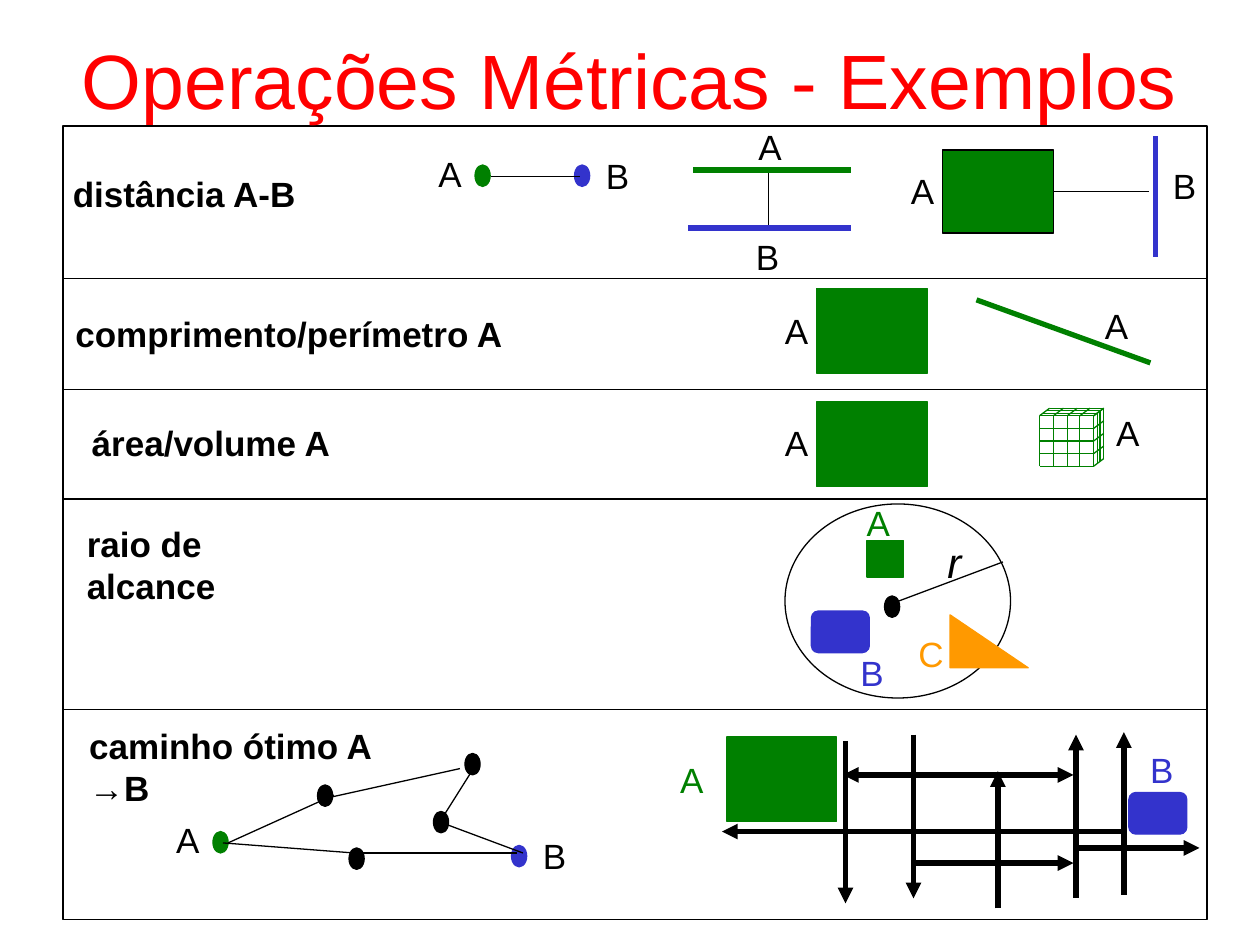
import pptx
import pptx.util
import pptx.dml.color
import pptx.enum.shapes
import pptx.enum.text
import pptx.oxml
import pptx.oxml.ns

PX = 9144
BLACK, GREEN, BLUE, ORANGE, RED = "000000", "008000", "3333CC", "FF9900", "FF0000"
MSO = pptx.enum.shapes.MSO_SHAPE
rgb = pptx.dml.color.RGBColor.from_string
qn = pptx.oxml.ns.qn

prs = pptx.Presentation()
prs.slide_width, prs.slide_height = 1000 * PX, 750 * PX
s = prs.slides.add_slide(prs.slide_layouts[6])


def add_shape(kind, x, y, w, h, fill=None, line=None):
    sp = s.shapes.add_shape(kind, x * PX, y * PX, w * PX, h * PX)
    sp.shadow.inherit = False
    if fill:
        sp.fill.solid()
        sp.fill.fore_color.rgb = rgb(fill)
    else:
        sp.fill.background()
    sp.line.color.rgb = rgb(line or fill or BLACK)
    sp.line.width = pptx.util.Pt(0.75)
    return sp


def add_line(shapes, x1, y1, x2, y2, color=BLACK, width=0.75, ends=()):
    ln = shapes.add_connector(pptx.enum.shapes.MSO_CONNECTOR.STRAIGHT,
                              x1 * PX, y1 * PX, x2 * PX, y2 * PX)
    ln.line.color.rgb = rgb(color)
    ln.line.width = pptx.util.Pt(width)
    for end in ends:
        ln.line._get_or_add_ln().append(pptx.oxml.parse_xml(
            f'<a:{end} {pptx.oxml.ns.nsdecls("a")} type="triangle"/>'))
    ln._element.spPr.append(pptx.oxml.parse_xml(
        f'<a:effectLst {pptx.oxml.ns.nsdecls("a")}/>'))
    return ln


row_top = 100
for row_height in (121, 88, 87, 167, 167):
    add_shape(MSO.RECTANGLE, 50, row_top, 908, row_height)
    row_top += row_height

for x, y, w, h in ((648, 229, 88, 67), (648, 319, 88, 67),
                   (688, 429, 29, 29), (577, 585, 87, 67)):
    add_shape(MSO.RECTANGLE, x, y, w, h, GREEN)
for x, y in ((644, 485), (896, 629)):
    add_shape(MSO.ROUNDED_RECTANGLE, x, y, 46, 33, BLUE)
add_shape(MSO.OVAL, 623, 400, 179, 154)
add_shape(MSO.RIGHT_TRIANGLE, 754, 488, 62, 42, ORANGE)

for x, y, color in (
        (456, 131, BLUE), (377, 131, GREEN), (702, 473, BLACK),
        (406, 671, BLUE), (169, 660, GREEN), (252, 623, BLACK),
        (344, 644, BLACK), (369, 598, BLACK), (277, 673, BLACK)):
    add_shape(MSO.OVAL, x, y, 12, 17, color)

area = add_shape(MSO.RECTANGLE, 748, 119, 88, 66, GREEN, BLACK)
distance = add_line(s.shapes, 912, 152, 836, 152)
distance.end_connect(area, 3)

for x1, y1, x2, y2 in (
        (460, 140, 390, 140), (610, 179, 610, 133), (708, 479, 796, 446),
        (265, 631, 181, 669), (365, 610, 252, 635), (377, 608, 348, 654),
        (281, 677, 177, 669), (410, 677, 285, 677), (415, 677, 348, 652)):
    add_line(s.shapes, x1, y1, x2, y2)

for x1, y1, x2, y2, color in (
        (675, 181, 546, 181, BLUE), (675, 135, 550, 135, GREEN),
        (917, 108, 917, 204, BLUE), (775, 238, 913, 288, GREEN)):
    add_line(s.shapes, x1, y1, x2, y2, color, 3)

HEAD, TAIL = ("headEnd",), ("tailEnd",)
for x1, y1, x2, y2, ends in (
        (671, 588, 671, 717, TAIL), (852, 615, 669, 615, HEAD + TAIL),
        (725, 583, 725, 713, TAIL), (854, 583, 854, 713, HEAD),
        (894, 660, 573, 660, TAIL), (852, 685, 723, 685, HEAD),
        (792, 721, 792, 612, TAIL), (952, 673, 852, 673, HEAD),
        (892, 581, 892, 710, HEAD)):
    add_line(s.shapes, x1, y1, x2, y2, BLACK, 3, ends)

cube = s.shapes.add_group_shape().shapes
left, top, width, height, dx, dy = 825, 330, 43, 40, 8, 6
right, bottom = left + width, top + height
for i in range(5):
    x, y = left + round(width * i / 4), top + height * i // 4
    add_line(cube, x, top, x, bottom, GREEN)
    add_line(cube, left, y, right, y, GREEN)
    add_line(cube, x, top, x + dx, top - dy, GREEN)
    add_line(cube, right, y, right + dx, y - dy, GREEN)
for k in (1, 2, 3):
    x, y = round(dx * k / 3), dy * k // 3
    add_line(cube, left + x, top - y, right + x, top - y, GREEN)
    add_line(cube, right + x, top - y, right + x, bottom - y, GREEN)

labels = [
    ("Operações Métricas - Exemplos", 0, 0, 1000, 125, 44, RED),
    ("distância A-B", 48, 132, 198, 44, 20, BLACK),
    ("comprimento/perímetro A", 50, 243, 360, 44, 20, BLACK),
    ("área/volume A", 63, 330, 210, 44, 20, BLACK),
    ("raio de\nalcance", 59, 410, 122, 77, 20, BLACK),
    ("caminho ótimo A →B", 61, 570, 296, 44, 20, BLACK),
    ("r", 742, 421, 31, 50, 24, BLACK),
    ("C", 719, 497, 40, 44, 20, ORANGE),
]
labels += [(text, x, y, 38, 44, 20, color) for text, x, y, color in (
    ("A", 338, 116, BLACK), ("B", 471, 118, BLACK),
    ("A", 592, 95, BLACK), ("B", 590, 182, BLACK),
    ("A", 713, 130, BLACK), ("B", 921, 126, BLACK),
    ("A", 613, 241, BLACK), ("A", 867, 237, BLACK),
    ("A", 613, 330, BLACK), ("A", 876, 322, BLACK),
    ("A", 678, 393, GREEN), ("B", 673, 512, BLUE),
    ("A", 130, 645, BLACK), ("B", 421, 657, BLACK),
    ("A", 530, 597, GREEN), ("B", 903, 589, BLUE))]

for text, x, y, w, h, size, color in labels:
    tf = s.shapes.add_textbox(x * PX, y * PX, w * PX, h * PX).text_frame
    title = size == 44
    tf.word_wrap = title or "→" in text
    tf.margin_left = tf.margin_right = 10 * PX
    tf.margin_top = tf.margin_bottom = 5 * PX
    if title:
        tf.vertical_anchor = pptx.enum.text.MSO_ANCHOR.MIDDLE
    for i, part in enumerate(text.split("\n")):
        p = tf.add_paragraph() if i else tf.paragraphs[0]
        if title:
            p.alignment = pptx.enum.text.PP_ALIGN.CENTER
        r = p.add_run()
        r.text = part
        r.font.name = "Arial"
        r.font.size = pptx.util.Pt(size)
        r.font.bold = len(text) > 1 and not title
        r.font.italic = text == "r"
        r.font.color.rgb = rgb(color)

prs.save("out.pptx")
